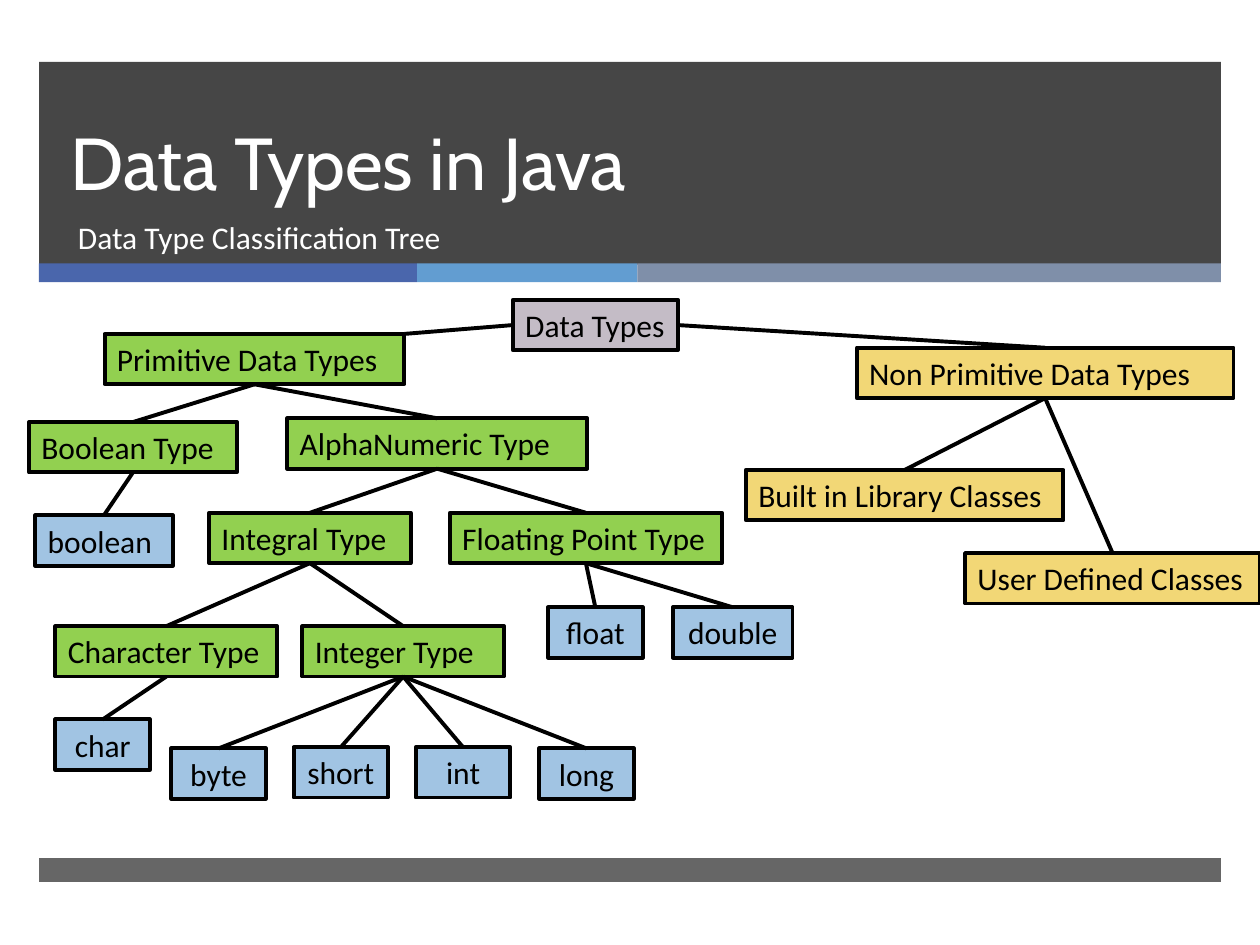
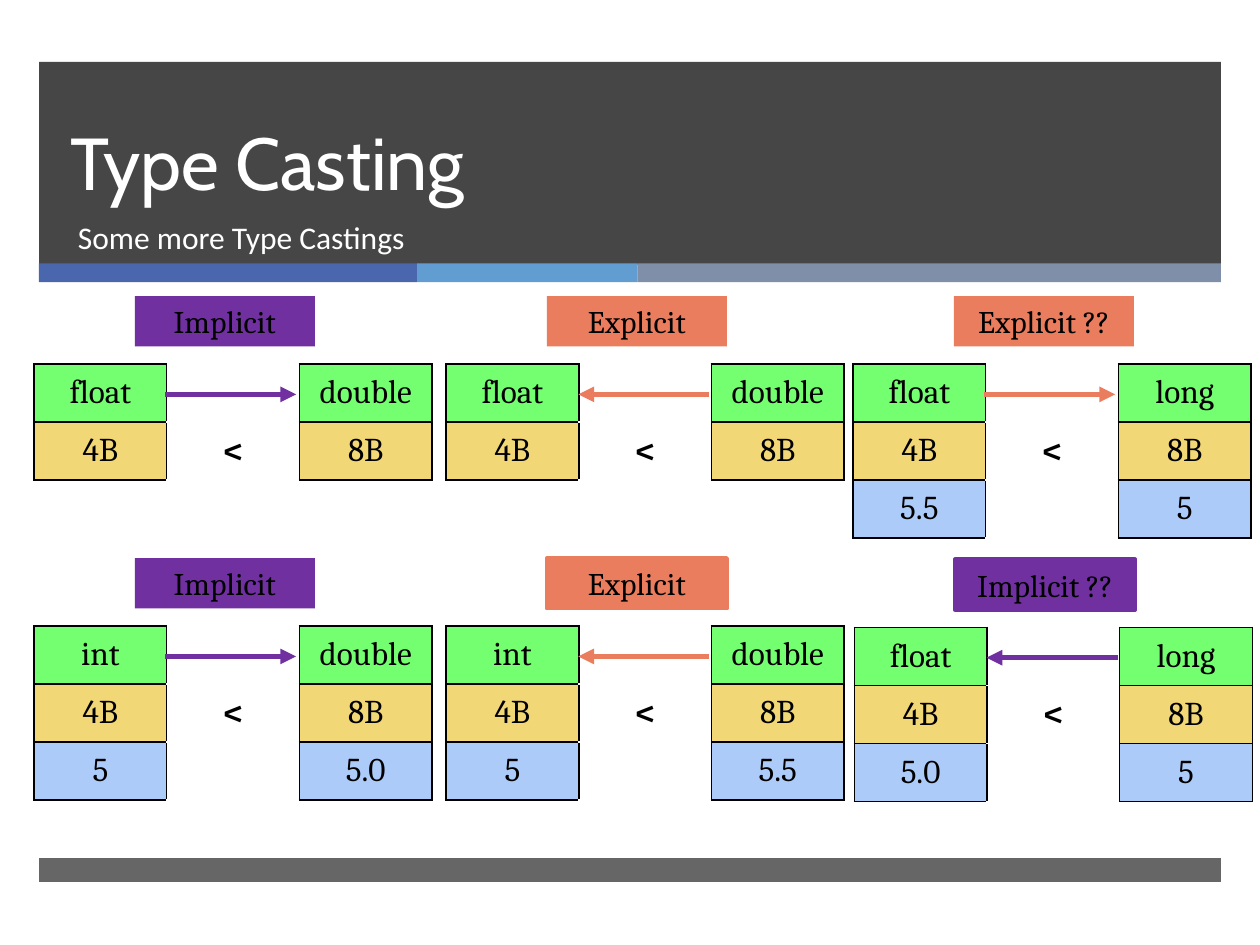
"""Build two slides on Java data types and type casting."""
import dataclasses
from typing import Optional

import lxml.etree
import pptx
import pptx.dml.color
import pptx.enum.shapes
import pptx.enum.text
import pptx.oxml.ns
import pptx.presentation
import pptx.shapes.autoshape
import pptx.shapes.connector
import pptx.slide
import pptx.table
import pptx.text.text
import pptx.util

Inches = pptx.util.Inches
Pt = pptx.util.Pt
RGBColor = pptx.dml.color.RGBColor
ALIGN = pptx.enum.text.PP_ALIGN
ANCHOR = pptx.enum.text.MSO_ANCHOR
RECT = pptx.enum.shapes.MSO_SHAPE.RECTANGLE
STRAIGHT = pptx.enum.shapes.MSO_CONNECTOR.STRAIGHT
qn = pptx.oxml.ns.qn

BLACK = RGBColor(0x00, 0x00, 0x00)
WHITE = RGBColor(0xFF, 0xFF, 0xFF)
CHARCOAL = RGBColor(0x26, 0x26, 0x26)
STRIP_BLUE = RGBColor(0x4A, 0x66, 0xAC)
STRIP_SKY = RGBColor(0x62, 0x9D, 0xD1)
STRIP_SLATE = RGBColor(0x7F, 0x8F, 0xA9)
MAUVE = RGBColor(0xC4, 0xBC, 0xC6)
GREEN = RGBColor(0x92, 0xD0, 0x50)
YELLOW = RGBColor(0xF2, 0xD7, 0x76)
SKY = RGBColor(0xA1, 0xC4, 0xE3)
LIME = RGBColor(0x74, 0xFF, 0x71)
PALE_BLUE = RGBColor(0xAC, 0xCB, 0xF9)
PURPLE = RGBColor(0x70, 0x30, 0xA0)
ORANGE = RGBColor(0xEB, 0x7D, 0x5F)

TITLE_FONT, BODY_FONT, CAST_FONT = "Cabin", "Calibri", "Cambria"
TOP, LEFT, BOTTOM, RIGHT = range(4)
BOX_H = 0.4
TABLE_W, ROW_H = 3.16, 0.46


@dataclasses.dataclass(frozen=True)
class Band:
    """A plain rectangle of the slide frame."""
    x: float
    y: float
    w: float
    h: float
    color: RGBColor
    opacity: int = 100


@dataclasses.dataclass(frozen=True)
class Node:
    """A box of the classification tree."""
    text: str
    x: float
    y: float
    w: float
    color: RGBColor
    parent: str = ""
    align: Optional[ALIGN] = ALIGN.LEFT


@dataclasses.dataclass(frozen=True)
class Cast:
    """A labelled conversion between two types."""
    x: float
    y: float
    label: str
    color: RGBColor
    rows: tuple[tuple[str, str], ...]
    leftward: bool = False
    outlined: bool = False


BANDS = (
    Band(0.31, 0.49, 9.38, 1.61, CHARCOAL, 85),
    Band(0.31, 2.09, 3, 0.15, STRIP_BLUE),
    Band(3.31, 2.09, 1.75, 0.15, STRIP_SKY),
    Band(5.06, 2.09, 4.63, 0.15, STRIP_SLATE),
    Band(0.31, 6.81, 9.38, 0.19, CHARCOAL, 70),
)

ROOT, PRIMITIVE, OTHER = "Data Types", "Primitive Data Types", "Non Primitive Data Types"
ALPHA, INTEGRAL, FLOATING = "AlphaNumeric Type", "Integral Type", "Floating Point Type"
BOOLEAN, CHARACTER, INTEGER = "Boolean Type", "Character Type", "Integer Type"
NODES = (
    Node(ROOT, 4.07, 2.38, 1.31, MAUVE),
    Node(PRIMITIVE, 0.83, 2.65, 2.38, GREEN, ROOT),
    Node(OTHER, 6.8, 2.76, 2.99, YELLOW, ROOT),
    Node("Built in Library Classes", 5.92, 3.73, 2.52, YELLOW, OTHER),
    Node("User Defined Classes", 7.66, 4.39, 2.34, YELLOW, OTHER),
    Node(BOOLEAN, 0.23, 3.35, 1.65, GREEN, PRIMITIVE),
    Node(ALPHA, 2.28, 3.32, 2.38, GREEN, PRIMITIVE),
    Node(INTEGRAL, 1.66, 4.07, 1.6, GREEN, ALPHA),
    Node(FLOATING, 3.57, 4.07, 2.16, GREEN, ALPHA),
    Node(CHARACTER, 0.44, 4.97, 1.76, GREEN, INTEGRAL),
    Node(INTEGER, 2.4, 4.97, 1.6, GREEN, INTEGRAL),
    Node("boolean", 0.28, 4.09, 1.09, SKY, BOOLEAN),
    Node("char", 0.44, 5.71, 0.75, SKY, CHARACTER, ALIGN.CENTER),
    Node("byte", 1.36, 5.94, 0.75, SKY, INTEGER, ALIGN.CENTER),
    Node("short", 2.33, 5.93, 0.75, SKY, INTEGER, ALIGN.CENTER),
    Node("int", 3.3, 5.93, 0.75, SKY, INTEGER, ALIGN.CENTER),
    Node("long", 4.28, 5.94, 0.75, SKY, INTEGER, ALIGN.CENTER),
    Node("float", 4.35, 4.82, 0.75, SKY, FLOATING, ALIGN.CENTER),
    Node("double", 5.34, 4.82, 0.95, SKY, FLOATING, ALIGN.CENTER),
)

SIZES = ("4B", "8B")
CASTS = (
    Cast(0.27, 2.89, "Implicit", PURPLE, (("float", "double"), SIZES)),
    Cast(3.54, 2.89, "Explicit", ORANGE, (("float", "double"), SIZES), leftward=True),
    Cast(0.27, 4.97, "Implicit", PURPLE, (("int", "double"), SIZES, ("5", "5.0"))),
    Cast(3.54, 4.97, "Explicit", ORANGE, (("int", "double"), SIZES, ("5", "5.5")), True, True),
    Cast(6.77, 2.89, "Explicit ??", ORANGE, (("float", "long"), SIZES, ("5.5", "5"))),
    Cast(6.78, 4.98, "Implicit ??", PURPLE, (("float", "long"), SIZES, ("5.0", "5")), True, True),
)


def style_text(p: pptx.text.text._Paragraph, text: str, font: str, size: int,
               color: RGBColor, align: Optional[ALIGN] = ALIGN.LEFT) -> None:
    """Fill a paragraph and set its font and alignment."""
    p.text = text
    p.alignment = align
    p.font.name = font
    p.font.size = Pt(size)
    p.font.color.rgb = color


def add_rect(s: pptx.slide.Slide, x: float, y: float, w: float, h: float, fill: RGBColor,
             line: Optional[RGBColor] = None) -> pptx.shapes.autoshape.Shape:
    """Draw a flat rectangle with an optional outline."""
    sp = s.shapes.add_shape(RECT, Inches(x), Inches(y), Inches(w), Inches(h))
    sp.shadow.inherit = False
    sp.fill.solid()
    sp.fill.fore_color.rgb = fill
    if line is None:
        sp.line.fill.background()
    else:
        sp.line.color.rgb = line
        sp.line.width = Pt(2.25)
    return sp


def add_box(s: pptx.slide.Slide, text: str, x: float, y: float, w: float, fill: RGBColor,
            line: Optional[RGBColor], font: str,
            align: Optional[ALIGN]) -> pptx.shapes.autoshape.Shape:
    """Draw a one-line text box with a fill."""
    sp = add_rect(s, x, y, w, BOX_H, fill, line)
    tf = sp.text_frame
    tf.word_wrap = True
    tf.vertical_anchor = ANCHOR.TOP
    tf.auto_size = pptx.enum.text.MSO_AUTO_SIZE.SHAPE_TO_FIT_TEXT
    style_text(tf.paragraphs[0], text, font, 18, BLACK, align)
    return sp


def add_line(s: pptx.slide.Slide, x1: float, y1: float, x2: float, y2: float,
             color: RGBColor, width: float) -> pptx.shapes.connector.Connector:
    """Draw a straight connector without a shadow."""
    c = s.shapes.add_connector(STRAIGHT, Inches(x1), Inches(y1), Inches(x2), Inches(y2))
    c.line.color.rgb = color
    c.line.width = Pt(width)
    lxml.etree.SubElement(c._element.spPr, qn("a:effectLst"))
    return c


def add_heading(s: pptx.slide.Slide, text: str, y: float, h: float, x: float, w: float,
                font: str, size: int, anchor: ANCHOR) -> pptx.text.text._Paragraph:
    """Write a white heading line and return its paragraph."""
    tf = s.shapes.add_textbox(Inches(x), Inches(y), Inches(w), Inches(h)).text_frame
    tf.word_wrap = True
    tf.vertical_anchor = anchor
    style_text(tf.paragraphs[0], text, font, size, WHITE)
    return tf.paragraphs[0]


def add_framed_slide(prs: pptx.presentation.Presentation, title: str,
                     subtitle: str) -> pptx.slide.Slide:
    """Add a slide with bands, title and subtitle."""
    s = prs.slides.add_slide(prs.slide_layouts[6])
    for band in BANDS:
        sp = add_rect(s, band.x, band.y, band.w, band.h, band.color)
        if band.opacity < 100:
            color = sp._element.spPr.find(qn("a:solidFill"))[0]
            lxml.etree.SubElement(color, qn("a:alpha"), val=str(band.opacity * 1000))
    p = add_heading(s, title, 0.49, 1.19, 0.46, 8.54, TITLE_FONT, 42, ANCHOR.BOTTOM)
    p.line_spacing = Pt(46)
    add_heading(s, subtitle, 1.68, 0.53, 0.52, 8.48, BODY_FONT, 18, ANCHOR.TOP)
    return s


def draw_tree(s: pptx.slide.Slide) -> None:
    """Draw the tree boxes and join each to its parent."""
    boxes = {n.text: add_box(s, n.text, n.x, n.y, n.w, n.color, BLACK, BODY_FONT, n.align)
             for n in NODES}
    parent_sides = {PRIMITIVE: LEFT, OTHER: RIGHT}
    for n in NODES:
        if not n.parent:
            continue
        c = add_line(s, n.x + n.w, n.y, n.x, n.y, BLACK, 2.25)
        if n.text != PRIMITIVE:
            c.begin_connect(boxes[n.text], TOP)
        c.end_connect(boxes[n.parent], parent_sides.get(n.text, BOTTOM))


def set_borders(cell: pptx.table._Cell, sides: str) -> None:
    """Give a cell black one-point borders on the named sides."""
    tc_pr = cell._tc.get_or_add_tcPr()
    for side in sides:
        ln = lxml.etree.SubElement(tc_pr, qn(f"a:ln{side}"), w=str(Pt(1)))
        fill = lxml.etree.SubElement(ln, qn("a:solidFill"))
        lxml.etree.SubElement(fill, qn("a:srgbClr"), val=str(BLACK))


def draw_cast_table(s: pptx.slide.Slide, cast: Cast) -> None:
    """Draw the two type columns with the size comparison between them."""
    count = len(cast.rows)
    table = s.shapes.add_table(count, 3, Inches(cast.x), Inches(cast.y),
                               Inches(TABLE_W), Inches(ROW_H * count)).table
    table.first_row = table.horz_banding = False
    for i, ((left, right), color) in enumerate(zip(cast.rows, (LIME, YELLOW, PALE_BLUE))):
        table.rows[i].height = Inches(ROW_H)
        for j, text in enumerate((left, "<" if i == 1 else "", right)):
            cell = table.cell(i, j)
            middle = j == 1
            set_borders(cell, "LR" if middle else "LRTB")
            cell.vertical_anchor = ANCHOR.MIDDLE
            if middle:
                cell.fill.background()
            else:
                cell.fill.solid()
                cell.fill.fore_color.rgb = color
            p = cell.text_frame.paragraphs[0]
            style_text(p, text, CAST_FONT, 20 if middle else 19, BLACK, ALIGN.CENTER)
            p.font.bold = middle


def draw_cast(s: pptx.slide.Slide, cast: Cast) -> None:
    """Draw one conversion: table, arrow and label."""
    draw_cast_table(s, cast)
    start, end = (2.09, 1.05) if cast.leftward else (1.04, 2.08)
    y = cast.y + 0.24
    c = add_line(s, cast.x + start, y, cast.x + end, y, cast.color, 3)
    lxml.etree.SubElement(c.line._get_or_add_ln(), qn("a:tailEnd"), type="triangle")
    add_box(s, cast.label, cast.x + 0.8, cast.y - 0.54, 1.43, cast.color,
            cast.color if cast.outlined else None, CAST_FONT, ALIGN.CENTER)


def main() -> None:
    """Build and save the presentation."""
    prs = pptx.Presentation()
    prs.slide_width, prs.slide_height = Inches(10), Inches(7.5)
    draw_tree(add_framed_slide(prs, "Data Types in Java", "Data Type Classification Tree"))
    s = add_framed_slide(prs, "Type Casting", "Some more Type Castings")
    for cast in CASTS:
        draw_cast(s, cast)
    prs.save("out.pptx")


if __name__ == "__main__":
    main()
